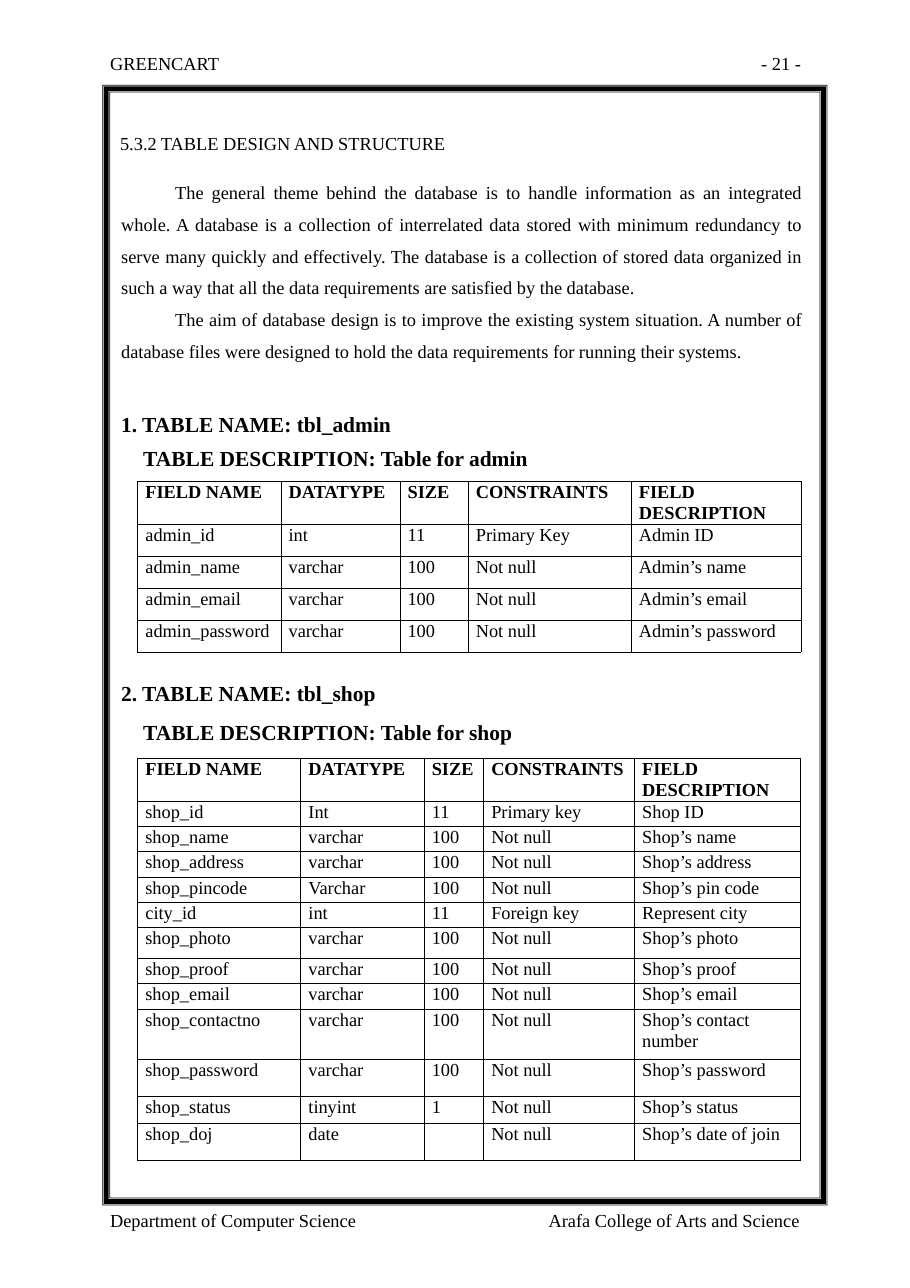
import dataclasses
import typing

import pptx
import pptx.dml.color
import pptx.enum.text
import pptx.oxml
import pptx.oxml.ns
import pptx.shapes.base
import pptx.slide
import pptx.text.text
import pptx.util

Inches = pptx.util.Inches
Pt = pptx.util.Pt
Align = pptx.enum.text.PP_ALIGN


@dataclasses.dataclass(frozen=True)
class Theme:
    font: str = "Times New Roman"
    ink: str = "000000"
    plain: float = 12
    large: float = 14
    line: float = 0.5


@dataclasses.dataclass(frozen=True)
class Label:
    text: str
    left: float
    top: float
    width: float


@dataclasses.dataclass(frozen=True)
class Section:
    """A two-line heading and the grid of fields under it."""
    name: str
    about: str
    top: float
    gap: float
    start: float
    widths: list[float]
    heights: list[float]
    rows: list[str]


THEME = Theme()
INK = pptx.dml.color.RGBColor.from_string(THEME.ink)
LEFT, WIDTH = 1.09, 6.2
GRID_LEFT = 1.25
HEADS = "FIELD NAME|DATATYPE|SIZE|CONSTRAINTS|FIELD DESCRIPTION"

LABELS = [
    Label("GREENCART", 1, 0.47, 1.79),
    Label("- 21 -", 6.91, 0.47, 0.5),
    Label("Department of Computer Science", 1, 10.97, 2.5),
    Label("Arafa College of Arts and Science", 4.98, 10.97, 2.5),
]

PROSE = [
    "The general theme behind the database is to handle information as an integrated whole. "
    "A database is a collection of interrelated data stored with minimum redundancy to serve "
    "many quickly and effectively. The database is a collection of stored data organized in "
    "such a way that all the data requirements are satisfied by the database.",
    "The aim of database design is to improve the existing system situation. A number of "
    "database files were designed to hold the data requirements for running their systems.",
]

SECTIONS = [
    Section(
        "1. TABLE NAME: tbl_admin", "TABLE DESCRIPTION: Table for admin",
        3.73, 5.2, 4.37,
        [1.3, 1.08, 0.62, 1.48, 1.54], [0.39] + [0.29] * 4,
        [
            HEADS,
            "admin_id|int|11|Primary Key|Admin ID",
            "admin_name|varchar|100|Not null|Admin’s name",
            "admin_email|varchar|100|Not null|Admin’s email",
            "admin_password|varchar|100|Not null|Admin’s password",
        ],
    ),
    Section(
        "2. TABLE NAME: tbl_shop", "TABLE DESCRIPTION: Table for shop",
        6.17, 9.2, 6.88,
        [1.48, 1.12, 0.54, 1.37, 1.51],
        [0.39] + [0.23] * 5 + [0.28, 0.23, 0.23, 0.46, 0.33, 0.25, 0.33],
        [
            HEADS,
            "shop_id|Int|11|Primary key|Shop ID",
            "shop_name|varchar|100|Not null|Shop’s name",
            "shop_address|varchar|100|Not null|Shop’s address",
            "shop_pincode|Varchar|100|Not null|Shop’s pin code",
            "city_id|int|11|Foreign key|Represent city",
            "shop_photo|varchar|100|Not null|Shop’s photo",
            "shop_proof|varchar|100|Not null|Shop’s proof",
            "shop_email|varchar|100|Not null|Shop’s email",
            "shop_contactno|varchar|100|Not null|Shop’s contact number",
            "shop_password|varchar|100|Not null|Shop’s password",
            "shop_status|tinyint|1|Not null|Shop’s status",
            "shop_doj|date||Not null|Shop’s date of join",
        ],
    ),
]


def write(frame: pptx.text.text.TextFrame, text: str, *, size: float = THEME.plain,
          bold: bool = False, align: Align = Align.LEFT, margin: float = 0,
          indent: float = 0, space: float = 0,
          pitch: typing.Optional[float] = None) -> None:
    """Fill the empty first paragraph, or add one after the last."""
    para = frame.paragraphs[0]
    if para.runs:
        para = frame.add_paragraph()
    props = para._p.get_or_add_pPr()
    props.set("marL", str(Inches(margin)))
    props.set("indent", str(Inches(indent)))
    props.append(pptx.oxml.parse_xml(f"<a:buNone {pptx.oxml.ns.nsdecls('a')}/>"))
    para.alignment = align
    para.space_before = Pt(space)
    if pitch:
        para.line_spacing = Pt(pitch)
    run = para.add_run()
    run.text = text
    font = run.font
    font.name, font.size, font.bold = THEME.font, Pt(size), bold
    font.color.rgb = INK


def place(shape: pptx.shapes.base.BaseShape, left: float, top: float,
          width: float, height: float) -> pptx.text.text.TextFrame:
    """Move a text shape and strip its margins."""
    shape.left, shape.top = Inches(left), Inches(top)
    shape.width, shape.height = Inches(width), Inches(height)
    frame = shape.text_frame
    frame.margin_left = frame.margin_top = frame.margin_right = frame.margin_bottom = 0
    frame.word_wrap = True
    frame.auto_size = pptx.enum.text.MSO_AUTO_SIZE.NONE
    frame.vertical_anchor = pptx.enum.text.MSO_ANCHOR.TOP
    return frame


def add_box(slide: pptx.slide.Slide, left: float, top: float,
            width: float, height: float) -> pptx.text.text.TextFrame:
    return place(slide.shapes.add_textbox(0, 0, 0, 0), left, top, width, height)


def add_grid(slide: pptx.slide.Slide, part: Section) -> None:
    table = slide.shapes.add_table(
        len(part.rows), len(part.widths), Inches(GRID_LEFT), Inches(part.start),
        Inches(sum(part.widths)), Inches(sum(part.heights))).table
    table.first_row = table.horz_banding = False
    for col, width in zip(table.columns, part.widths):
        col.width = Inches(width)
    for index, (row, height, line) in enumerate(zip(table.rows, part.heights, part.rows)):
        row.height = Inches(height)
        for cell, text in zip(row.cells, line.split("|")):
            cell.margin_left = Inches(0.07)
            cell.margin_top = cell.margin_right = cell.margin_bottom = 0
            props = cell._tc.get_or_add_tcPr()
            for side in ("lnL", "lnR", "lnT", "lnB"):
                props.append(pptx.oxml.parse_xml(
                    f"<a:{side} {pptx.oxml.ns.nsdecls('a')} w='{Pt(THEME.line)}'>"
                    f"<a:solidFill><a:srgbClr val='{THEME.ink}'/></a:solidFill></a:{side}>"))
            cell.fill.background()
            if text:
                write(cell.text_frame, text, bold=index == 0, pitch=13.8)


def add_border(slide: pptx.slide.Slide) -> None:
    """Draw thin, thick and thin rings as one outline of nested loops."""
    left, top, right, bottom = (Inches(n) for n in (0.93, 0.77, 7.51, 10.94))
    pen = slide.shapes.build_freeform(left, top)
    for index, inset in enumerate((0, 0.5, 1, 4, 4.5, 5)):
        gap = Pt(inset)
        loop = [(left + gap, top + gap), (right - gap, top + gap),
                (right - gap, bottom - gap), (left + gap, bottom - gap)]
        if index % 2:
            loop.reverse()
        pen.move_to(*loop[0])
        pen.add_line_segments(loop[1:], close=True)
    shape = pen.convert_to_shape()
    shape.shadow.inherit = False
    shape.fill.solid()
    shape.fill.fore_color.rgb = INK
    shape.line.fill.background()


def main() -> None:
    deck = pptx.Presentation()
    deck.slide_width, deck.slide_height = Inches(8.26), Inches(11.69)
    slide = deck.slides.add_slide(deck.slide_layouts[1])
    title = place(slide.shapes.title, LEFT, 1.2, WIDTH, 0.25)
    write(title, "5.3.2 TABLE DESIGN AND STRUCTURE")
    body = place(slide.placeholders[1], LEFT, 1.56, WIDTH, 1.75)
    for text in PROSE:
        write(body, text, align=Align.JUSTIFY, margin=0.01, indent=0.49, pitch=20.7)
    for part in SECTIONS:
        head = add_box(slide, LEFT, part.top, WIDTH, 0.6)
        write(head, part.name, size=THEME.large, bold=True, margin=0.01)
        write(head, part.about, size=THEME.large, bold=True, margin=0.21, space=part.gap)
        add_grid(slide, part)
    add_border(slide)
    for label in LABELS:
        write(add_box(slide, label.left, label.top, label.width, 0.21), label.text)
    deck.save("out.pptx")


if __name__ == "__main__":
    main()
